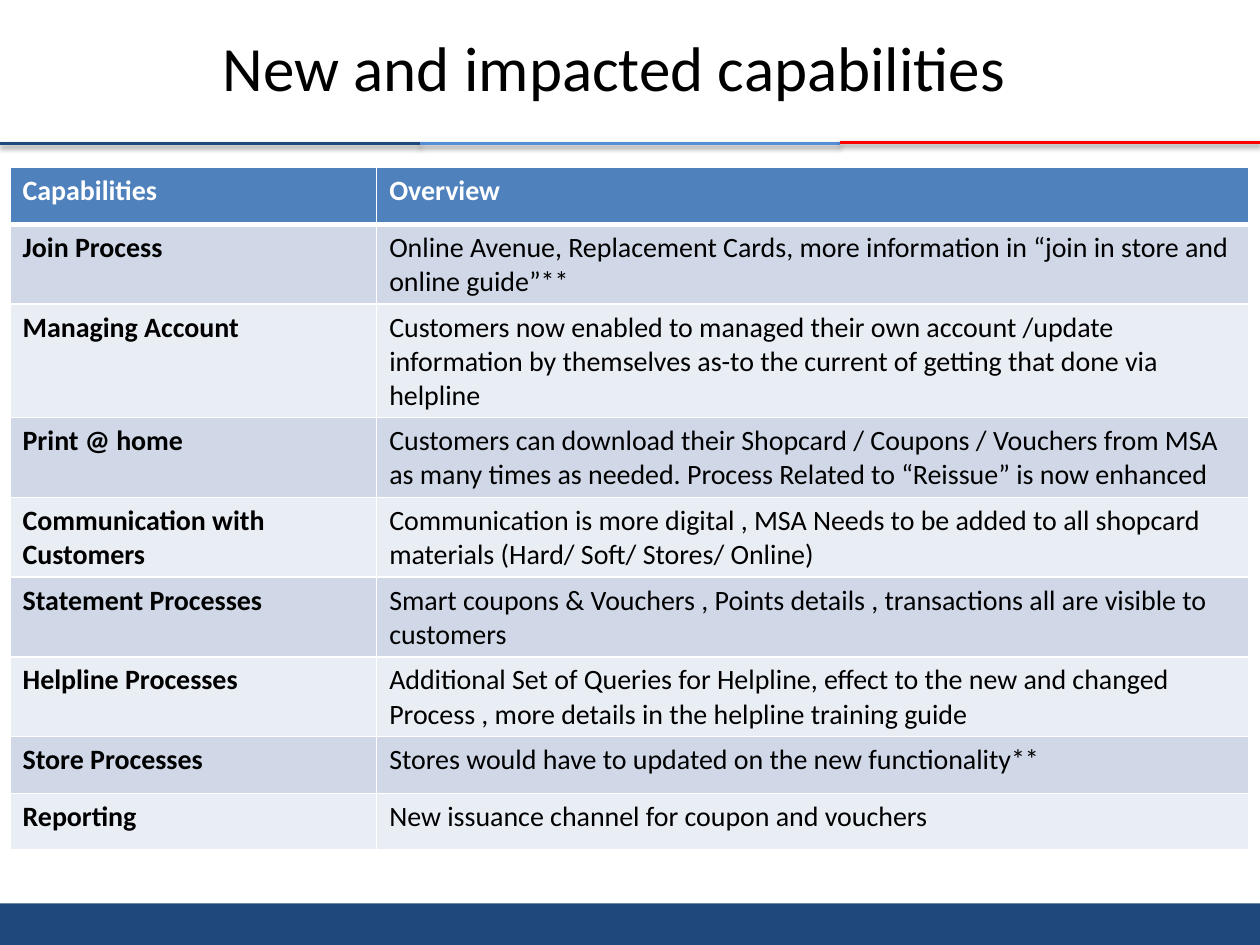
from dataclasses import dataclass
from lxml.etree import SubElement
from pptx import Presentation
from pptx.dml.color import RGBColor
from pptx.enum.shapes import MSO_CONNECTOR, MSO_SHAPE
from pptx.enum.text import MSO_ANCHOR
from pptx.oxml import parse_xml
from pptx.oxml.ns import nsdecls, qn
from pptx.util import Inches, Pt


@dataclass(frozen=True)
class Theme:
    font: str = "Calibri"
    title_size: int = 36
    table_size: int = 16
    text: str = "000000"
    white: str = "FFFFFF"
    navy: str = "1F497D"
    sky: str = "558ED5"
    red: str = "FF0000"
    header: str = "4F81BD"
    bands: tuple[str, str] = ("D0D8E8", "E9EDF4")


@dataclass(frozen=True)
class Capability:
    name: str
    overview: str
    height: float = 0.63


@dataclass(frozen=True)
class Rule:
    color: str
    top: float = 1.14


THEME = Theme()
RULES = [Rule(THEME.navy), Rule(THEME.sky), Rule(THEME.red, 1.13)]
CAPABILITIES = [
    Capability("Capabilities", "Overview", 0.45),
    Capability("Join Process", "Online Avenue, Replacement Cards, more information in "
               "“join in store and online guide”**"),
    Capability("Managing Account", "Customers now enabled to managed their own account /update "
               "information by themselves as-to the current of getting that done via helpline", 0.89),
    Capability("Print @ home", "Customers can download their Shopcard / Coupons / Vouchers from MSA "
               "as many times as needed. Process Related to “Reissue” is now enhanced"),
    Capability("Communication with Customers", "Communication is more digital , MSA Needs to be added "
               "to all shopcard materials (Hard/ Soft/ Stores/ Online)"),
    Capability("Statement Processes", "Smart coupons & Vouchers , Points details , transactions "
               "all are visible to customers"),
    Capability("Helpline Processes", "Additional Set of Queries for Helpline, effect to the new and "
               "changed Process , more details in the helpline training guide"),
    Capability("Store Processes", "Stores would have to updated on the new functionality**", 0.45),
    Capability("Reporting", "New issuance channel for coupon and vouchers", 0.45),
]


def write_text(frame, text: str, *, size: int, color: str = THEME.text, bold: bool = False) -> None:
    frame.word_wrap = True
    span = frame.paragraphs[0].add_run()
    span.text = text
    span.font.name = THEME.font
    span.font.size = Pt(size)
    span.font.bold = bold
    span.font.color.rgb = RGBColor.from_string(color)


def draw_rule(page, rule: Rule, left: float, width: float) -> None:
    line = page.shapes.add_connector(MSO_CONNECTOR.STRAIGHT, Inches(left), Inches(rule.top),
                                     Inches(left + width), Inches(rule.top))
    line.line.color.rgb = RGBColor.from_string(rule.color)
    line.line.width = Pt(2)
    effects = SubElement(line.element.spPr, qn("a:effectLst"))
    shadow = SubElement(effects, qn("a:outerShdw"), blurRad=str(Pt(3.1)), dist=str(Pt(1.6)),
                        dir="5400000", rotWithShape="0")
    shade = SubElement(shadow, qn("a:srgbClr"), val=THEME.text)
    SubElement(shade, qn("a:alpha"), val="38000")


def set_borders(cell, bottom: int) -> None:
    properties = cell._tc.get_or_add_tcPr()
    for index, (side, width) in enumerate({"L": 1, "R": 1, "T": 1, "B": bottom}.items()):
        properties.insert(index, parse_xml(
            f'<a:ln{side} {nsdecls("a")} w="{Pt(width)}"><a:solidFill>'
            f'<a:srgbClr val="{THEME.white}"/></a:solidFill></a:ln{side}>'))


def draw_table(page, capabilities: list[Capability]) -> None:
    height = sum(capability.height for capability in capabilities)
    table = page.shapes.add_table(len(capabilities), 2, Inches(0.08), Inches(1.33),
                                  Inches(9.83), Inches(height)).table
    for column, width in zip(table.columns, (2.91, 6.92)):
        column.width = Inches(width)
    for row, capability in enumerate(capabilities):
        table.rows[row].height = Inches(capability.height)
        is_header = row == 0
        fill = THEME.header if is_header else THEME.bands[(row - 1) % 2]
        for column, text in enumerate((capability.name, capability.overview)):
            cell = table.cell(row, column)
            cell.fill.solid()
            cell.fill.fore_color.rgb = RGBColor.from_string(fill)
            set_borders(cell, bottom=3 if is_header else 1)
            write_text(cell.text_frame, text, size=THEME.table_size,
                       color=THEME.white if is_header else THEME.text,
                       bold=is_header or column == 0)


def draw_footer(page) -> None:
    footer = page.shapes.add_shape(MSO_SHAPE.RECTANGLE, 0, Inches(7.17), Inches(10), Inches(0.33))
    footer.shadow.inherit = False
    footer.fill.solid()
    footer.fill.fore_color.rgb = RGBColor.from_string(THEME.navy)
    footer.line.fill.background()


def draw_title(page) -> None:
    title = page.shapes.add_textbox(Inches(1.67), Inches(0.03), Inches(7.92), Inches(1))
    title.text_frame.vertical_anchor = MSO_ANCHOR.MIDDLE
    write_text(title.text_frame, "New and impacted capabilities", size=THEME.title_size)


def build() -> None:
    deck = Presentation()
    deck.slide_width, deck.slide_height = Inches(10), Inches(7.5)
    page = deck.slides.add_slide(deck.slide_layouts[6])
    rule_width = 10 / len(RULES)
    for index, rule in enumerate(RULES):
        draw_rule(page, rule, index * rule_width, rule_width)
    draw_footer(page)
    draw_title(page)
    draw_table(page, CAPABILITIES)
    deck.save("out.pptx")


build()
